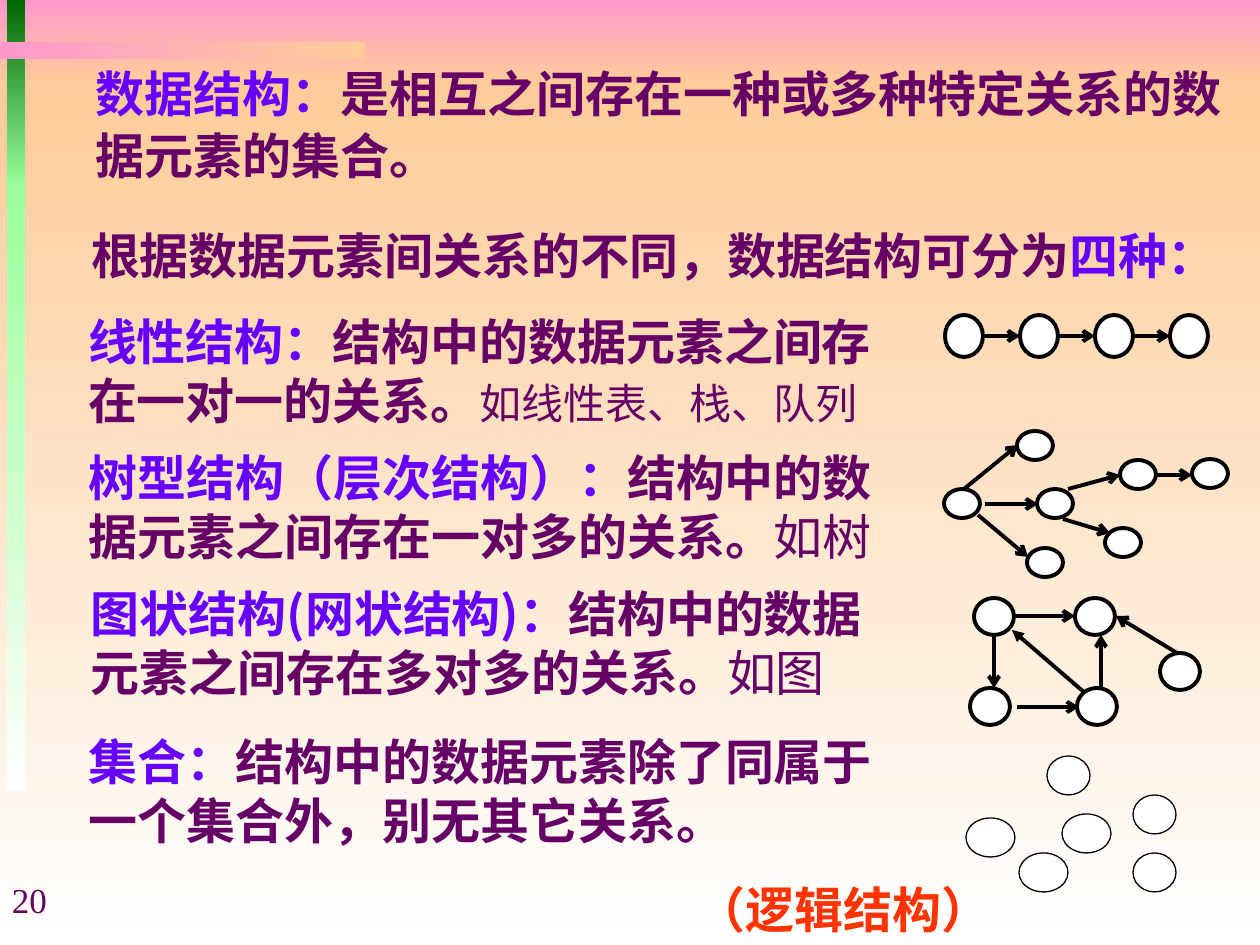
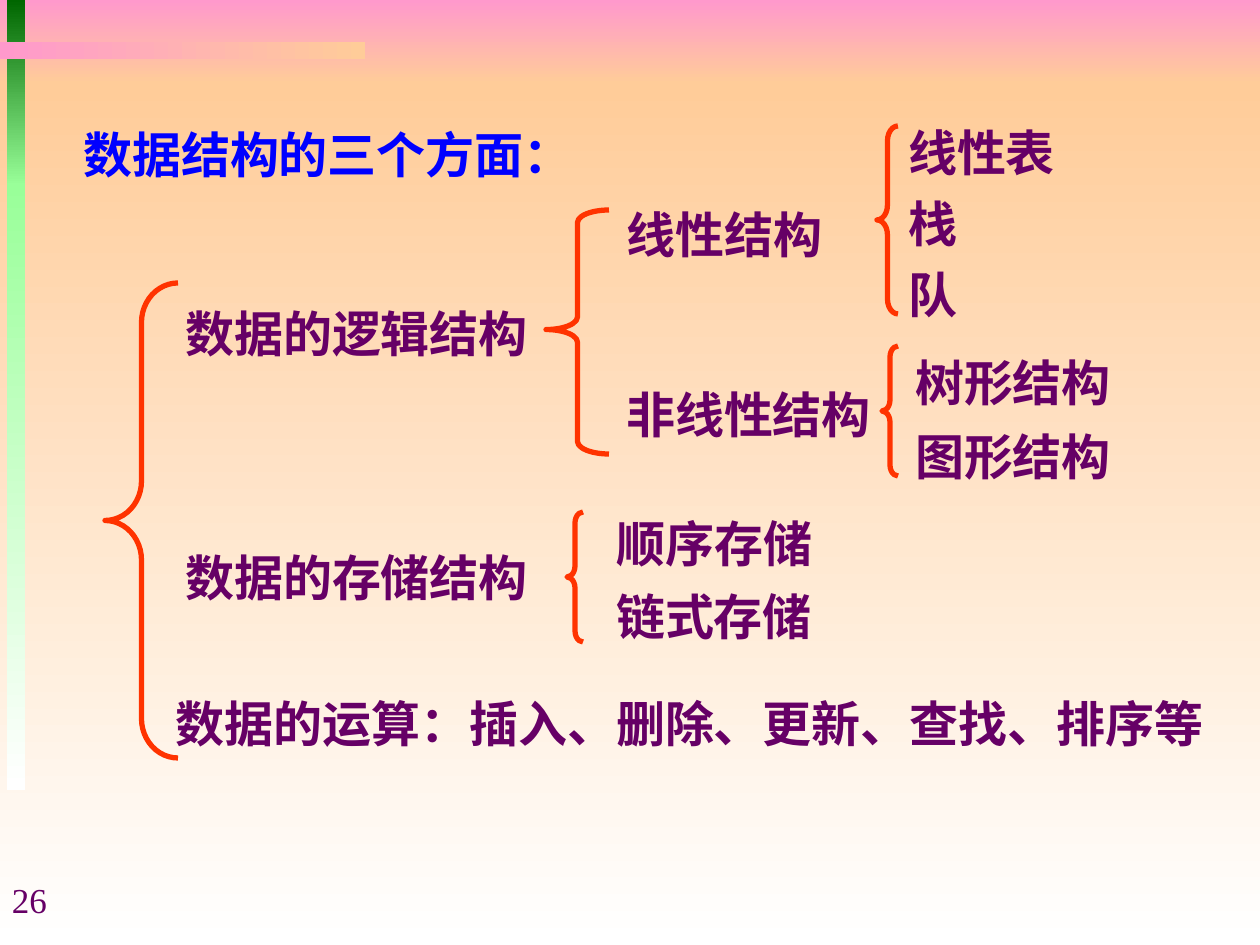
import pptx
import pptx.dml.color
import pptx.enum.shapes
import pptx.enum.text
import pptx.oxml
import pptx.oxml.ns
import pptx.util

PX = 914400 / 126
CJK = "Noto Sans CJK SC"
SERIF = "Times New Roman"
PLUM, VIOLET, BLUE, RED = "660066", "6600FF", "0000FF", "FF3300"
PINK, PEACH, WHITE, BLACK = "FF99CC", "FFCC99", "FFFFFF", "000000"
DARK_GREEN, LIGHT_GREEN = "006600", "99FF99"
DOWN, RIGHT = 270, 0
SHAPE = pptx.enum.shapes.MSO_SHAPE
ALIGN = pptx.enum.text.PP_ALIGN
CENTERED = {"align": ALIGN.CENTER, "side": 4}


def px(length):
    return pptx.util.Emu(round(length * PX))


def color(hex_code):
    return pptx.dml.color.RGBColor.from_string(hex_code)


def add_text(slide, text, box, size=28, font=CJK, fill=PLUM, bold=True,
             align=ALIGN.LEFT, pitch=33.8, side=12, wrap=False):
    label = slide.shapes.add_textbox(*map(px, box))
    frame = label.text_frame
    frame.word_wrap = wrap
    frame.margin_left = frame.margin_right = px(side)
    frame.margin_top, frame.margin_bottom = px(6), px(0)
    paragraph = frame.paragraphs[0]
    paragraph.alignment = align
    if pitch:
        paragraph.line_spacing = pptx.util.Pt(pitch)
    pieces = [(text, {})] if isinstance(text, str) else text
    for words, changes in pieces:
        look = {"size": size, "font": font, "fill": fill, "bold": bold, **changes}
        run = paragraph.add_run()
        run.text = words
        run.font.size = pptx.util.Pt(look["size"])
        run.font.bold = look["bold"]
        run.font.color.rgb = color(look["fill"])
        run.font.name = look["font"]
        east_asian = pptx.oxml.parse_xml(
            f'<a:ea {pptx.oxml.ns.nsdecls("a")} typeface="{CJK}"/>')
        run.font._element.append(east_asian)


def add_band(slide, box, start, end, angle):
    band = slide.shapes.add_shape(SHAPE.RECTANGLE, *map(px, box))
    band.shadow.inherit = False
    band.line.fill.background()
    band.fill.gradient()
    band.fill.gradient_angle = angle
    for stop, hex_code in zip(band.fill.gradient_stops, (start, end)):
        stop.color.rgb = color(hex_code)


def add_node(slide, box, width):
    node = slide.shapes.add_shape(SHAPE.OVAL, *map(px, box))
    node.shadow.inherit = False
    node.fill.solid()
    node.fill.fore_color.rgb = color(WHITE)
    node.line.color.rgb = color(BLACK)
    node.line.width = pptx.util.Pt(width)


def add_link(slide, start, end, head="arrow"):
    link = slide.shapes.add_connector(
        pptx.enum.shapes.MSO_CONNECTOR.STRAIGHT, *map(px, (*start, *end)))
    link.line.color.rgb = color(BLACK)
    link.line.width = pptx.util.Pt(2.25)
    space = pptx.oxml.ns.nsdecls("a")
    link.line._get_or_add_ln().append(
        pptx.oxml.parse_xml(f'<a:tailEnd {space} type="{head}"/>'))
    link._element.spPr.append(pptx.oxml.parse_xml(f"<a:effectLst {space}/>"))


def add_brace(slide, box, bend, middle=0.5):
    brace = slide.shapes.add_shape(SHAPE.LEFT_BRACE, *map(px, box))
    brace.shadow.inherit = False
    brace.fill.background()
    brace.line.color.rgb = color(RED)
    brace.line.width = pptx.util.Pt(3)
    brace.adjustments[0] = bend
    brace.adjustments[1] = middle


def draw_diagram(slide, origin, nodes, links=(), width=2.25):
    left, top = origin
    for x, y, node_width, node_height in nodes:
        add_node(slide, (left + x, top + y, node_width, node_height), width)
    for x1, y1, x2, y2, *head in links:
        add_link(slide, (left + x1, top + y1), (left + x2, top + y2), *head)


def draw_linear(slide, origin):
    step, width, height = 75, 38, 42
    nodes = [(step * i, 0, width, height) for i in range(4)]
    links = [(step * i + width, 21, step * (i + 1), 21) for i in range(3)]
    draw_diagram(slide, origin, nodes, links)


def draw_tree(slide, origin):
    corners = [(0, 58), (73, 0), (93, 58), (83, 117), (176, 29), (161, 97), (248, 28)]
    links = [(41, 73, 94, 73), (20, 58, 74, 14), (34, 84, 84, 126),
             (124, 58, 176, 44), (119, 88, 166, 102), (211, 44, 248, 44)]
    draw_diagram(slide, origin, [(x, y, 36, 29) for x, y in corners], links)


def draw_graph(slide, origin):
    corners = [(0, 90), (4, 0), (107, 90), (105, 0), (190, 55)]
    links = [(47, 109, 109, 109), (44, 18, 105, 18), (24, 37, 24, 90),
             (131, 90, 131, 37), (207, 55, 146, 18), (115, 95, 42, 32, "triangle")]
    draw_diagram(slide, origin, [(x, y, 40, 37) for x, y in corners], links)


def draw_set(slide, origin):
    wide = [(x, y, 49, 39) for x, y in [(96, 58), (53, 97), (0, 62)]]
    narrow = [(x, y, 43, 39) for x, y in [(167, 97), (167, 39), (81, 0)]]
    draw_diagram(slide, origin, wide + narrow, width=0.75)


def add_base_slide(deck, number):
    slide = deck.slides.add_slide(deck.slide_layouts[6])
    add_band(slide, (0, 0, 1260, 84), PINK, PEACH, DOWN)
    add_band(slide, (0, 84, 1260, 861), PEACH, WHITE, DOWN)
    add_band(slide, (7, 0, 18, 186), DARK_GREEN, LIGHT_GREEN, DOWN)
    add_band(slide, (7, 184, 18, 606), LIGHT_GREEN, WHITE, DOWN)
    add_band(slide, (0, 42, 365, 17), PINK, PEACH, RIGHT)
    add_text(slide, number, (0, 872, 88, 55), size=20, font=SERIF, bold=False,
             pitch=None, wrap=True)
    return slide


def build_kinds_slide(deck):
    slide = add_base_slide(deck, "20")
    key = {"fill": VIOLET}
    example = {"font": SERIF, "bold": False}
    add_text(slide, [("数据结构：", key),
                     ("是相互之间存在一种或多种特定关系的数据元素的集合。", {})],
             (84, 54, 1176, 136), pitch=35.4, wrap=True)
    add_text(slide, [("根据数据元素间关系的不同，数据结构可分为", {}), ("四种：", key)],
             (79, 219, 1150, 72))
    kinds = [
        ("线性结构：", "结构中的数据元素之间存在一对一的关系。",
         "如线性表、栈、队列", 24, (76, 305, 828, 131)),
        ("树型结构（层次结构）：", "结构中的数据元素之间存在一对多的关系。",
         "如树", 28, (77, 441, 845, 131)),
        ("图状结构(网状结构)：", "结构中的数据元素之间存在多对多的关系。",
         "如图", 28, (79, 577, 820, 131)),
        ("集合：", "结构中的数据元素除了同属于一个集合外，别无其它关系。",
         "", 28, (77, 725, 819, 131)),
    ]
    for name, meaning, sample, size, box in kinds:
        pieces = [(name, key), (meaning, {})]
        if sample:
            pieces.append((sample, {**example, "size": size}))
        add_text(slide, pieces, box, wrap=True)
    draw_linear(slide, (945, 315))
    draw_tree(slide, (944, 431))
    draw_graph(slide, (970, 598))
    draw_set(slide, (966, 756))
    add_text(slide, "（逻辑结构）", (684, 873, 319, 72), fill=RED, **CENTERED)


def build_aspects_slide(deck):
    slide = add_base_slide(deck, "26")
    braces = [
        ((105, 283, 73, 475), 0.54, 0.5),
        ((546, 210, 63, 244), 0.2, 0.49),
        ((567, 512, 16, 130), 0.69, 0.5),
        ((877, 126, 21, 188), 0.71, 0.5),
        ((882, 346, 16, 130), 0.69, 0.5),
    ]
    for brace in braces:
        add_brace(slide, *brace)
    aspects = [
        ("数据的逻辑结构", 146, 297, 421),
        ("数据的存储结构", 146, 541, 421),
        ("数据的运算：插入、删除、更新、查找、排序等", 151, 687, 1077),
        ("线性结构", 587, 198, 275),
        ("非线性结构", 599, 378, 299),
        ("顺序存储", 590, 507, 249),
        ("链式存储", 562, 580, 304),
        ("线性表", 896, 116, 171),
        ("栈", 896, 187, 74),
        ("队", 896, 258, 74),
        ("树形结构", 903, 346, 220),
        ("图形结构", 903, 420, 220),
    ]
    for name, left, top, width in aspects:
        add_text(slide, name, (left, top, width, 72), font=SERIF, **CENTERED)
    add_text(slide, "数据结构的三个方面：", (71, 118, 514, 72), font=SERIF,
             fill=BLUE, **CENTERED)


def main():
    deck = pptx.Presentation()
    deck.slide_width, deck.slide_height = px(1260), px(945)
    build_kinds_slide(deck)
    build_aspects_slide(deck)
    deck.save("out.pptx")


if __name__ == "__main__":
    main()
